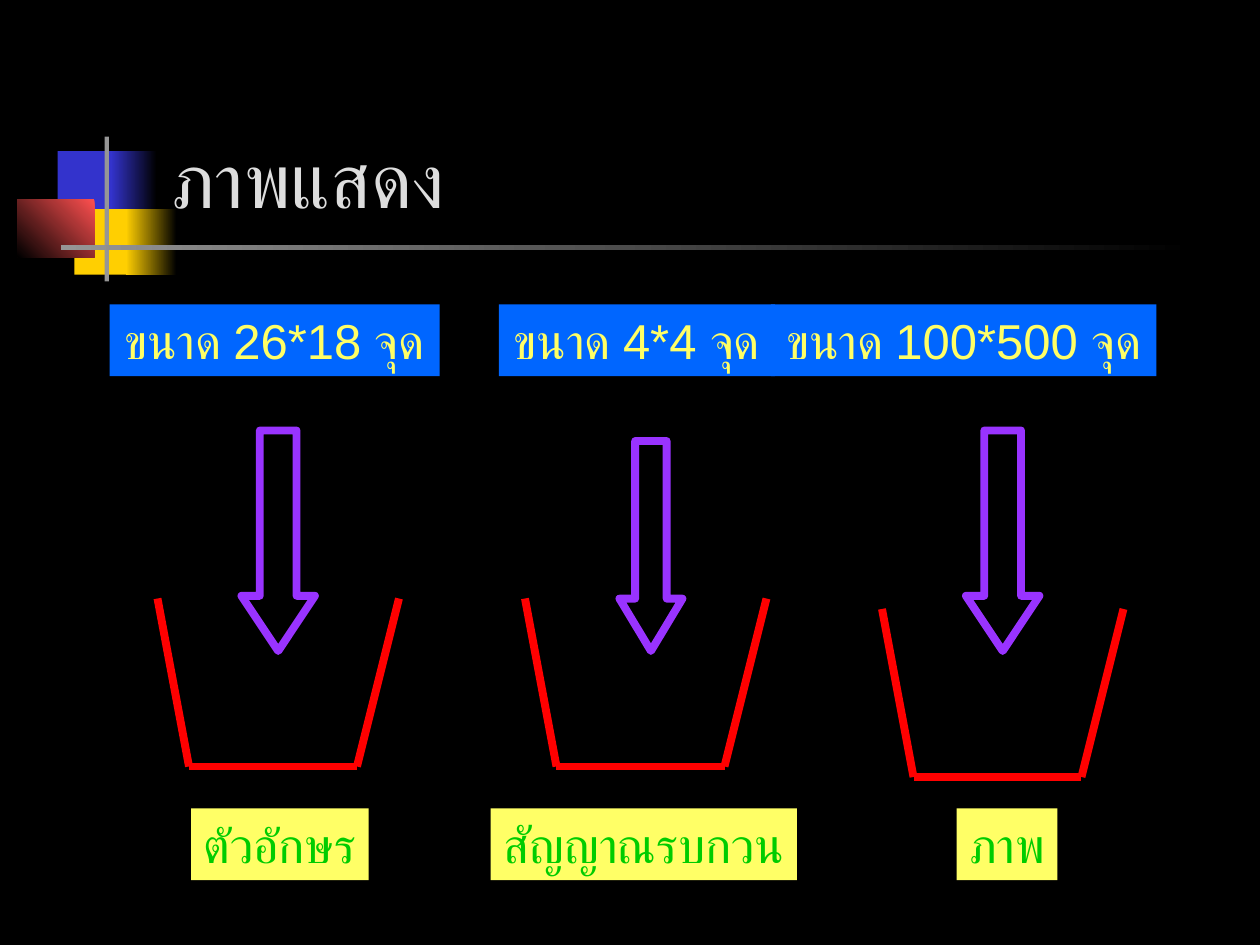
from typing import NamedTuple, Optional

from lxml.etree import SubElement
from pptx import Presentation
from pptx.dml.color import RGBColor
from pptx.enum.shapes import MSO_CONNECTOR as CONN, MSO_SHAPE as SHAPE
from pptx.enum.text import MSO_ANCHOR as ANCHOR, MSO_AUTO_SIZE as AUTO, PP_ALIGN as ALIGN
from pptx.oxml.ns import qn
from pptx.util import Pt


class Block(NamedTuple):
    x: float
    y: float
    w: float
    h: float
    color: str
    end: Optional[str] = None  # second gradient colour
    angle: float = 180


class Label(NamedTuple):
    text: str
    x: float
    w: float


class Arrow(NamedTuple):
    x: float
    y: float
    w: float
    h: float
    head: float


class Bucket(NamedTuple):
    x: float
    y: float


DECOR = [
    Block(33, 86.4, 34.6, 37.4, "3333CC"),
    Block(63.4, 86.4, 26, 37.4, "000000", "3333CC"),
    Block(42.5, 119.5, 33, 37.4, "FFCF01"),
    Block(72, 119.5, 28.8, 37.4, "000000", "FFCF01"),
    Block(10, 113.8, 44, 33.1, "FF5050", "000000", 225),
    Block(59.8, 78, 2.5, 82.8, "969696"),
    Block(34.8, 140.2, 648, 2.5, "000000", "969696"),
]
SIZES = [
    Label("ขนาด 26*18 จุด", 62.6, 188.6),
    Label("ขนาด 4*4 จุด", 285.1, 157.7),
    Label("ขนาด 100*500 จุด", 440.6, 220.3),
]
KINDS = [
    Label("ตัวอักษร", 109.2, 101.5),
    Label("สัญญาณรบกวน", 280.4, 175),
    Label("ภาพ", 546.7, 57.6),
]
ARROWS = [
    Arrow(138, 246, 42, 126, 0.75),
    Arrow(354, 252, 36, 120, 0.83),
    Arrow(552, 246, 42, 126, 0.75),
]
BUCKETS = [Bucket(90, 342), Bucket(300, 342), Bucket(504, 348)]
BUCKET_OUTLINE = [(0, 0), (18, 96), (114, 96), (138, 0)]


def rgb(color: str) -> RGBColor:
    return RGBColor.from_string(color)


def add_preset(s, kind, x: float, y: float, w: float, h: float):
    sp = s.shapes.add_shape(kind, Pt(x), Pt(y), Pt(w), Pt(h))
    sp.shadow.inherit = False
    return sp


def add_block(s, b: Block) -> None:
    sp = add_preset(s, SHAPE.RECTANGLE, b.x, b.y, b.w, b.h)
    sp.line.fill.background()
    if b.end is None:
        sp.fill.solid()
        sp.fill.fore_color.rgb = rgb(b.color)
        return
    sp.fill.gradient()
    sp.fill.gradient_angle = b.angle
    for stop, color in zip(sp.fill.gradient_stops, (b.color, b.end)):
        stop.color.rgb = rgb(color)


def add_label(s, label: Label, y: float, fill: str, color: str) -> None:
    sp = add_preset(s, SHAPE.RECTANGLE, label.x, y, label.w, 41)
    sp.fill.solid()
    sp.fill.fore_color.rgb = rgb(fill)
    sp.line.fill.background()
    tf = sp.text_frame
    tf.word_wrap = False
    tf.auto_size = AUTO.SHAPE_TO_FIT_TEXT
    tf.vertical_anchor = ANCHOR.MIDDLE
    p = tf.paragraphs[0]
    p.text = label.text
    p.alignment = ALIGN.CENTER
    p.font.size, p.font.name = Pt(28), "Arial"
    p.font.color.rgb = rgb(color)


def add_arrow(s, a: Arrow) -> None:
    sp = add_preset(s, SHAPE.DOWN_ARROW, a.x, a.y, a.w, a.h)
    sp.adjustments[0], sp.adjustments[1] = 0.5, a.head
    sp.fill.background()
    sp.line.color.rgb = rgb("9933FF")
    sp.line.width = Pt(4.5)


def add_bucket(s, b: Bucket) -> None:
    points = [(Pt(b.x + dx), Pt(b.y + dy)) for dx, dy in BUCKET_OUTLINE]
    for start, end in zip(points, points[1:]):
        line = s.shapes.add_connector(CONN.STRAIGHT, *start, *end)
        line.line.color.rgb = rgb("FF0000")
        line.line.width = Pt(4.5)
        SubElement(line._element.spPr, qn("a:effectLst"))


def add_title(s, text: str) -> None:
    sp = s.shapes.title
    sp.left, sp.top, sp.width, sp.height = Pt(90.7), Pt(16.6), Pt(613.4), Pt(115.2)
    tf = sp.text_frame
    tf.vertical_anchor = ANCHOR.BOTTOM
    p = tf.paragraphs[0]
    p.text = text
    p.alignment = ALIGN.LEFT
    p.font.size, p.font.name = Pt(44), "Lato"
    p.font.color.rgb = rgb("DDDDDD")


def main() -> None:
    prs = Presentation()
    prs.slide_width, prs.slide_height = Pt(720), Pt(540)
    s = prs.slides.add_slide(prs.slide_layouts[5])
    s.background.fill.solid()
    s.background.fill.fore_color.rgb = rgb("000000")

    # Heading and its ornament
    for block in DECOR:
        add_block(s, block)
    add_title(s, "ภาพแสดง")

    # Kinds of data below, sizes above
    for label in KINDS:
        add_label(s, label, 462, "FFFF66", "00CC00")
    for label in SIZES:
        add_label(s, label, 174, "0066FF", "FFFF66")

    # Arrows pointing into the buckets
    for arrow in ARROWS:
        add_arrow(s, arrow)
    for bucket in BUCKETS:
        add_bucket(s, bucket)

    prs.save("out.pptx")


if __name__ == "__main__":
    main()
